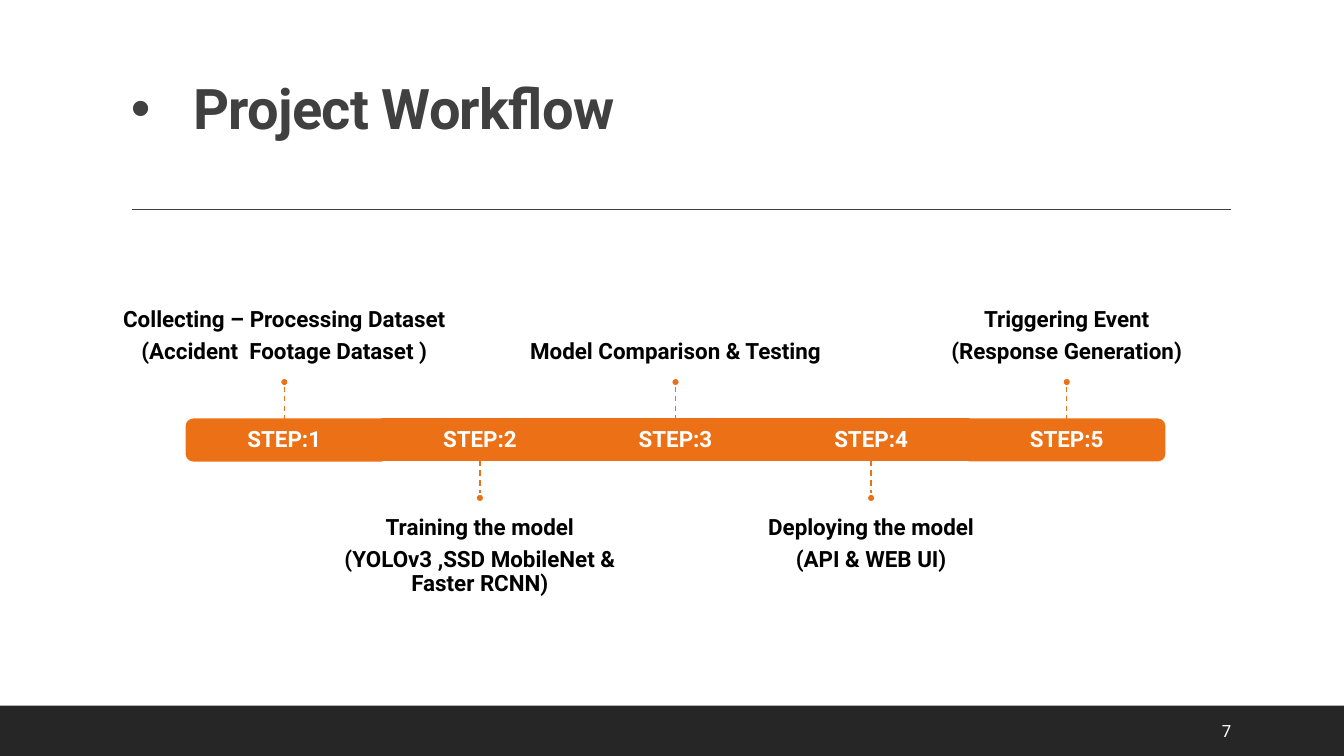
from lxml import etree
from pptx import Presentation
from pptx.dml.color import RGBColor
from pptx.enum.dml import MSO_LINE
from pptx.enum.shapes import MSO_CONNECTOR, MSO_SHAPE
from pptx.enum.text import MSO_ANCHOR, PP_ALIGN
from pptx.oxml.ns import qn
from pptx.util import Inches, Pt

RECT, OVAL, END_CAP = MSO_SHAPE.RECTANGLE, MSO_SHAPE.OVAL, MSO_SHAPE.ROUND_2_SAME_RECTANGLE
TOP, MIDDLE, BOTTOM = MSO_ANCHOR.TOP, MSO_ANCHOR.MIDDLE, MSO_ANCHOR.BOTTOM
LEFT, CENTER = PP_ALIGN.LEFT, PP_ALIGN.CENTER
STRAIGHT, DASH = MSO_CONNECTOR.STRAIGHT, MSO_LINE.DASH

COLORS = {"footer": "262626", "heading": "404040", "accent": "EC7016",
          "white": "FFFFFF", "black": "000000"}
RGB = {name: RGBColor.from_string(value) for name, value in COLORS.items()}

prs = Presentation()
prs.slide_width, prs.slide_height = Inches(13.33), Inches(7.5)
slide = prs.slides.add_slide(prs.slide_layouts[6])
shapes = slide.shapes


def add_text(box, lines, size, color, bold=True, anchor=MIDDLE, align=CENTER,
             insets=(0.1, 0.05, 0.1, 0.05), spacing=0.9, after=0):
    frame = shapes.add_textbox(*map(Inches, box)).text_frame
    frame.word_wrap = True
    frame.vertical_anchor = anchor
    for side, inset in zip(("left", "top", "right", "bottom"), insets):
        setattr(frame, f"margin_{side}", Inches(inset))
    font_format = {"name": "Roboto", "size": Pt(size), "bold": bold}
    for index, line in enumerate(lines):
        paragraph = frame.paragraphs[0] if index == 0 else frame.add_paragraph()
        paragraph.alignment = align
        paragraph.line_spacing = spacing
        paragraph.space_after = Pt(after)
        run = paragraph.add_run()
        run.text = line
        for key, value in font_format.items():
            setattr(run.font, key, value)
        run.font.color.rgb = RGB[color]
    return frame.paragraphs[0]


def add_line(x1, y1, x2, y2, color, dash=None):
    line = shapes.add_connector(STRAIGHT, *map(Inches, (x1, y1, x2, y2)))
    line.line.color.rgb = RGB[color]
    line.line.width = Pt(1)
    line.line.dash_style = dash
    etree.SubElement(line._element.spPr, qn("a:effectLst"))


# Footer band and page number
footer = shapes.add_shape(RECT, 0, Inches(7), prs.slide_width, Inches(0.5))
footer.shadow.inherit = False
footer.fill.solid()
footer.fill.fore_color.rgb = RGB["footer"]
footer.line.fill.background()
add_text((12.02, 7.05, 0.85, 0.4), ["7"], 12, "white", bold=False, align=LEFT, spacing=1)

# Bulleted title with rule
title = add_text((1.2, 0.31, 11, 1.59), ["Project Workflow"], 40, "heading", align=LEFT)
title_props = title._p.get_or_add_pPr()
title_props.set("marL", str(Inches(0.62)))
title_props.set("indent", str(-Inches(0.62)))
etree.SubElement(title_props, qn("a:buFont")).set("typeface", "Arial")
etree.SubElement(title_props, qn("a:buChar")).set("char", "•")
title.runs[0].font._element.set("spc", "-50")
add_line(1.31, 2.08, 12.21, 2.08, "heading")

# Workflow steps, captions alternating above and below the bar
STEPS = [
    ["Collecting – Processing Dataset", "(Accident  Footage Dataset )"],
    ["Training the model", "(YOLOv3 ,SSD MobileNet & Faster RCNN)"],
    ["Model Comparison & Testing"],
    ["Deploying the model", "(API & WEB UI)"],
    ["Triggering Event", "(Response Generation)"],
]
STEP_W, BAR_H, BAR_TOP, FIRST_CENTER = 1.94, 0.41, 4.16, 2.82
BAR_MID, BAR_BOTTOM = BAR_TOP + BAR_H / 2, BAR_TOP + BAR_H
CAPTION_W, CAPTION_H, STEM, DOT = 3.23, 1.45, 0.33, 0.08
END_ROTATION = {0: 270, len(STEPS) - 1: 90}

for index, caption in enumerate(STEPS):
    center = FIRST_CENTER + index * STEP_W
    above = index % 2 == 0

    # Bar segment: the two ends are rounded caps turned on their side
    rotation = END_ROTATION.get(index, 0)
    kind, width, height = (END_CAP, BAR_H, STEP_W) if rotation else (RECT, STEP_W, BAR_H)
    segment = shapes.add_shape(kind, Inches(center - width / 2), Inches(BAR_MID - height / 2),
                               Inches(width), Inches(height))
    segment.rotation = rotation

    # Step label and caption
    add_text((center - STEP_W / 2, BAR_TOP, STEP_W, BAR_H), [f"STEP:{index + 1}"], 16,
             "white", insets=(0.13,) * 4, after=5.6)
    add_text((center - CAPTION_W / 2, 2.29 if above else 4.99, CAPTION_W, CAPTION_H),
             caption, 16, "black", anchor=BOTTOM if above else TOP,
             insets=(0, 0, 0, 0.13) if above else (0, 0.13, 0, 0), after=5.6)

    # Dashed stem ending in a dot
    stem_top = BAR_TOP - STEM if above else BAR_BOTTOM
    add_line(center, stem_top, center, stem_top + STEM, "accent", DASH)
    dot_top = stem_top - DOT if above else stem_top + STEM
    dot = shapes.add_shape(OVAL, Inches(center - DOT / 2), Inches(dot_top),
                           Inches(DOT), Inches(DOT))

    for part, outline in ((segment, "accent"), (dot, "white")):
        part.shadow.inherit = False
        part.fill.solid()
        part.fill.fore_color.rgb = RGB["accent"]
        part.line.color.rgb = RGB[outline]
        part.line.width = Pt(1.25)

prs.save("out.pptx")
